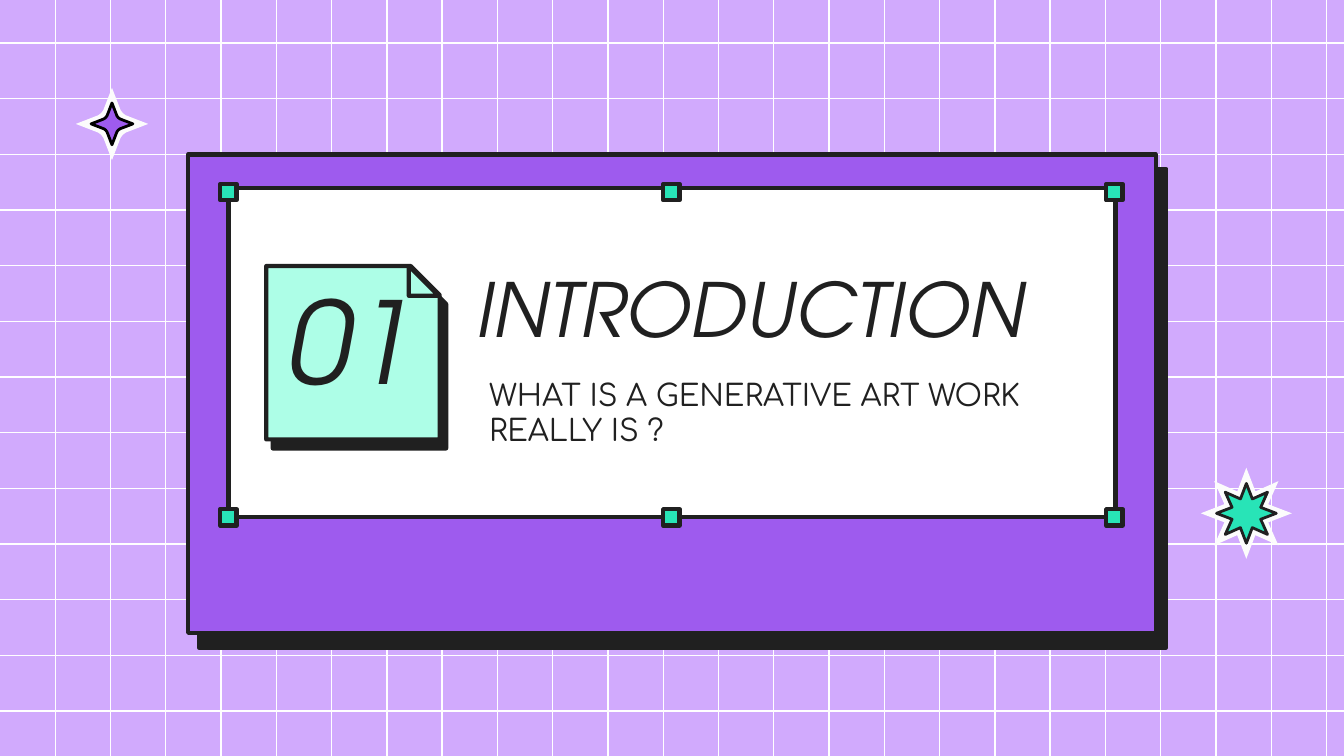
"""Build the INTRODUCTION section slide: a framed card on a grid with two stars."""
import math
from dataclasses import dataclass
from typing import Optional

import lxml.etree
import pptx
import pptx.dml.color
import pptx.enum.shapes
import pptx.enum.text
import pptx.oxml
import pptx.oxml.ns
import pptx.util

Pt = pptx.util.Pt
qn = pptx.oxml.ns.qn
SHAPE = pptx.enum.shapes.MSO_SHAPE
ALIGN = pptx.enum.text.PP_ALIGN


@dataclass(frozen=True)
class Theme:
    lilac: str = "D1AAFD"
    purple: str = "9E5BEE"
    mint: str = "ADFEE7"
    green: str = "28E4B7"
    white: str = "FFFFFF"
    halo: str = "FCFCFC"
    ink: str = "202020"
    black: str = "000000"
    heading: str = "TeX Gyre Adventor"
    body: str = "Comfortaa"
    number_size: float = 61
    title_size: float = 40
    subtitle_size: float = 16
    border: float = 2.25
    star_border: float = 1.5
    grid_line: float = 0.75


@dataclass(frozen=True)
class Panel:
    kind: SHAPE
    left: float
    top: float
    width: float
    height: float
    fill: str
    shadow: float = 0
    snip: Optional[float] = None


@dataclass(frozen=True)
class Label:
    text: str
    left: float
    top: float
    width: float
    height: float
    font: dict
    align: ALIGN = ALIGN.LEFT
    spacing: float = 1.0


@dataclass(frozen=True)
class Star:
    x: float
    y: float
    radius: float
    spikes: int
    profile: tuple
    fill: str
    line: Optional[str] = None


T = Theme()
WIDTH, HEIGHT = 720, 405
GRID_X, GRID_Y, GRID_TOP = 29.61, 29.82, 23.1
SHADOW_ANGLE = 54

PANELS = [
    Panel(SHAPE.RECTANGLE, 100.8, 82.8, 518.4, 256.3, T.purple, shadow=9.7),
    Panel(SHAPE.RECTANGLE, 122.4, 100.8, 475.2, 176.4, T.white),
    Panel(SHAPE.SNIP_1_RECTANGLE, 142.6, 142.5, 92.9, 92.9, T.mint, shadow=6, snip=0.167),
    Panel(SHAPE.RIGHT_TRIANGLE, 219, 142.5, 16, 16, T.mint),
]
HANDLE = 8.8
HANDLES = [
    Panel(SHAPE.RECTANGLE, x - HANDLE / 2, y - HANDLE / 2, HANDLE, HANDLE, T.green)
    for y in (103, 277.2) for x in (122.4, 359.7, 597)
]

HEADING = {"name": T.heading, "italic": True}
LABELS = [
    Label("WHAT IS A GENERATIVE ART WORK REALLY IS ?", 254.9, 194.4, 315.4, 42.5,
          {"name": T.body, "size": Pt(T.subtitle_size)}),
    Label("INTRODUCTION", 248.4, 139, 355.7, 66.2,
          HEADING | {"size": Pt(T.title_size)}, spacing=0.9),
    Label("01", 136.8, 146.2, 101.5, 74.2,
          HEADING | {"size": Pt(T.number_size)}, ALIGN.CENTER, 0.9),
]

SHARP = ((0, 1), (0.2, 0.48))
CURVED = SHARP + ((0.24, 0.38), (0.3, 0.3), (0.38, 0.24), (0.48, 0.2))
STARS = [
    Star(667.7, 275, 24.4, 8, SHARP, T.halo),
    Star(667.7, 275, 16, 8, SHARP, T.green, T.ink),
    Star(60, 66.4, 19.4, 4, CURVED, T.halo),
    Star(60, 66.4, 11.2, 4, CURVED, T.purple, T.black),
]


def rgb(value: str) -> pptx.dml.color.RGBColor:
    return pptx.dml.color.RGBColor.from_string(value)


def paint(sp, fill: str, line: Optional[str], weight: float) -> None:
    sp.shadow.inherit = False
    sp.fill.solid()
    sp.fill.fore_color.rgb = rgb(fill)
    if line is None:
        sp.line.fill.background()
        return
    sp.line.color.rgb = rgb(line)
    sp.line.width = Pt(weight)
    lxml.etree.SubElement(sp.line._get_or_add_ln(), qn("a:round"))


def cast_shadow(sp, distance: float) -> None:
    effects = sp._element.spPr.find(qn("a:effectLst"))
    shadow = lxml.etree.SubElement(
        effects, qn("a:outerShdw"), dist=str(Pt(distance)),
        dir=str(SHADOW_ANGLE * 60000), algn="bl", rotWithShape="0")
    lxml.etree.SubElement(shadow, qn("a:srgbClr"), val=T.ink)


def draw_grid_line(s, x1: float, y1: float, x2: float, y2: float) -> None:
    line = s.shapes.add_connector(
        pptx.enum.shapes.MSO_CONNECTOR.STRAIGHT, Pt(x1), Pt(y1), Pt(x2), Pt(y2))
    line.line.color.rgb = rgb(T.white)
    line.line.width = Pt(T.grid_line)
    lxml.etree.SubElement(line._element.spPr, qn("a:effectLst"))


def draw_panel(s, panel: Panel) -> None:
    sp = s.shapes.add_shape(
        panel.kind, Pt(panel.left), Pt(panel.top), Pt(panel.width), Pt(panel.height))
    paint(sp, panel.fill, T.ink, T.border)
    if panel.snip is not None:
        sp.adjustments[0] = panel.snip
    if panel.shadow:
        cast_shadow(sp, panel.shadow)


def draw_label(s, label: Label) -> None:
    tf = s.shapes.add_textbox(
        Pt(label.left), Pt(label.top), Pt(label.width), Pt(label.height)).text_frame
    frame = dict.fromkeys(("margin_left", "margin_top", "margin_right", "margin_bottom"), Pt(7.2))
    for name, value in (frame | {"word_wrap": True}).items():
        setattr(tf, name, value)
    p = tf.paragraphs[0]
    p.alignment = label.align
    p.line_spacing = label.spacing
    r = p.add_run()
    r.text = label.text
    for name, value in label.font.items():
        setattr(r.font, name, value)
    r.font.color.rgb = rgb(T.ink)


def draw_star(s, star: Star) -> None:
    points = []
    for spike in range(star.spikes):
        turn = math.tau * spike / star.spikes
        cos, sin = math.cos(turn), math.sin(turn)
        points += [(Pt(star.x + star.radius * (u * cos + v * sin)),
                    Pt(star.y + star.radius * (u * sin - v * cos)))
                   for u, v in star.profile]
    outline = s.shapes.build_freeform(*points[0])
    outline.add_line_segments(points[1:], close=True)
    paint(outline.convert_to_shape(), star.fill, star.line, T.star_border)


def main() -> None:
    prs = pptx.Presentation()
    prs.slide_width, prs.slide_height = Pt(WIDTH), Pt(HEIGHT)
    s = prs.slides.add_slide(prs.slide_layouts[6])
    s.background.fill.solid()
    s.background.fill.fore_color.rgb = rgb(T.lilac)
    for row in range(13):
        y = GRID_TOP + row * GRID_Y
        draw_grid_line(s, 0, y, WIDTH, y)
    for column in range(1, 25):
        x = column * GRID_X
        draw_grid_line(s, x, 0, x, HEIGHT)
    for panel in PANELS:
        draw_panel(s, panel)
    for label in LABELS:
        draw_label(s, label)
    for handle in HANDLES:
        draw_panel(s, handle)
    for star in STARS:
        draw_star(s, star)
    prs.save("out.pptx")


if __name__ == "__main__":
    main()
